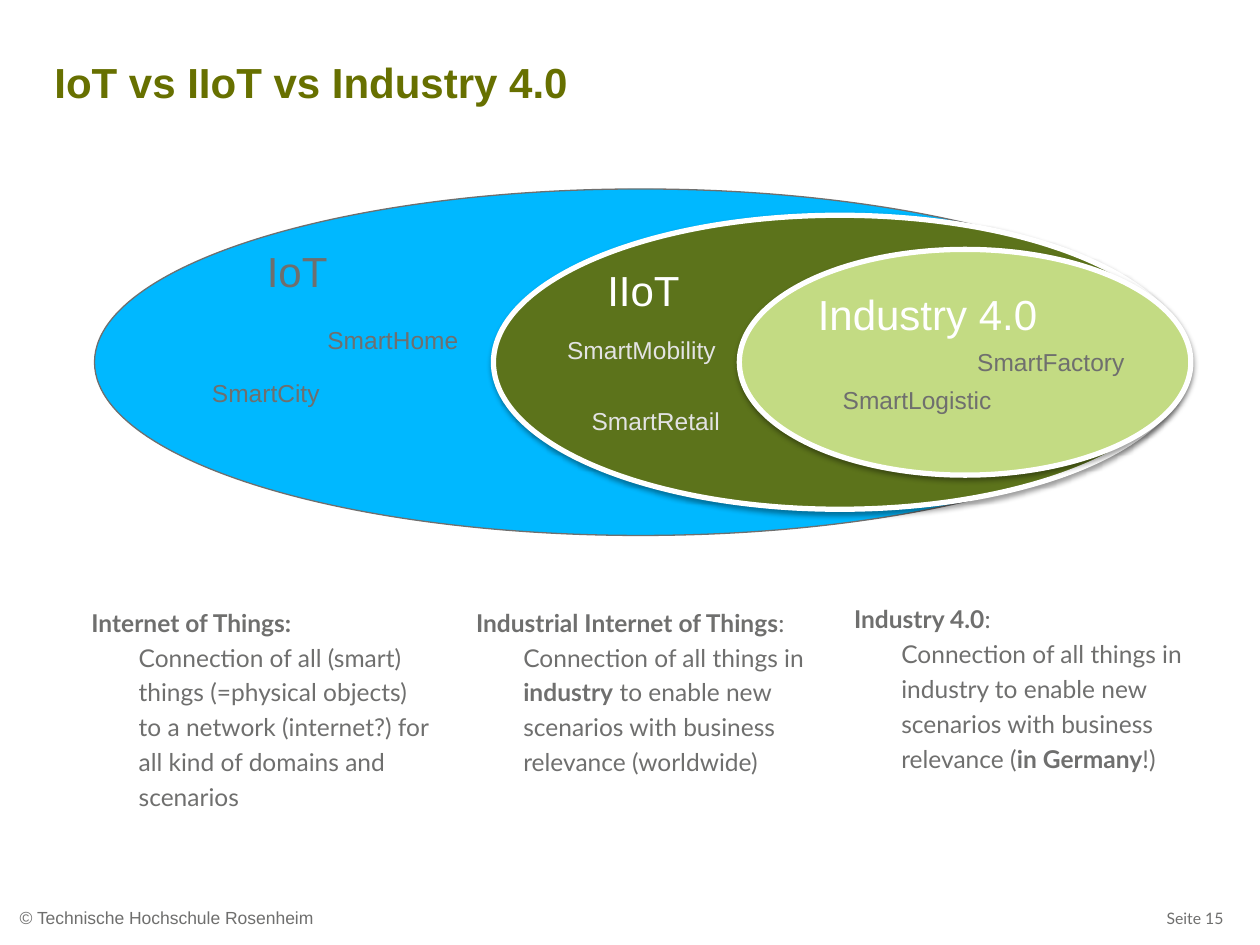
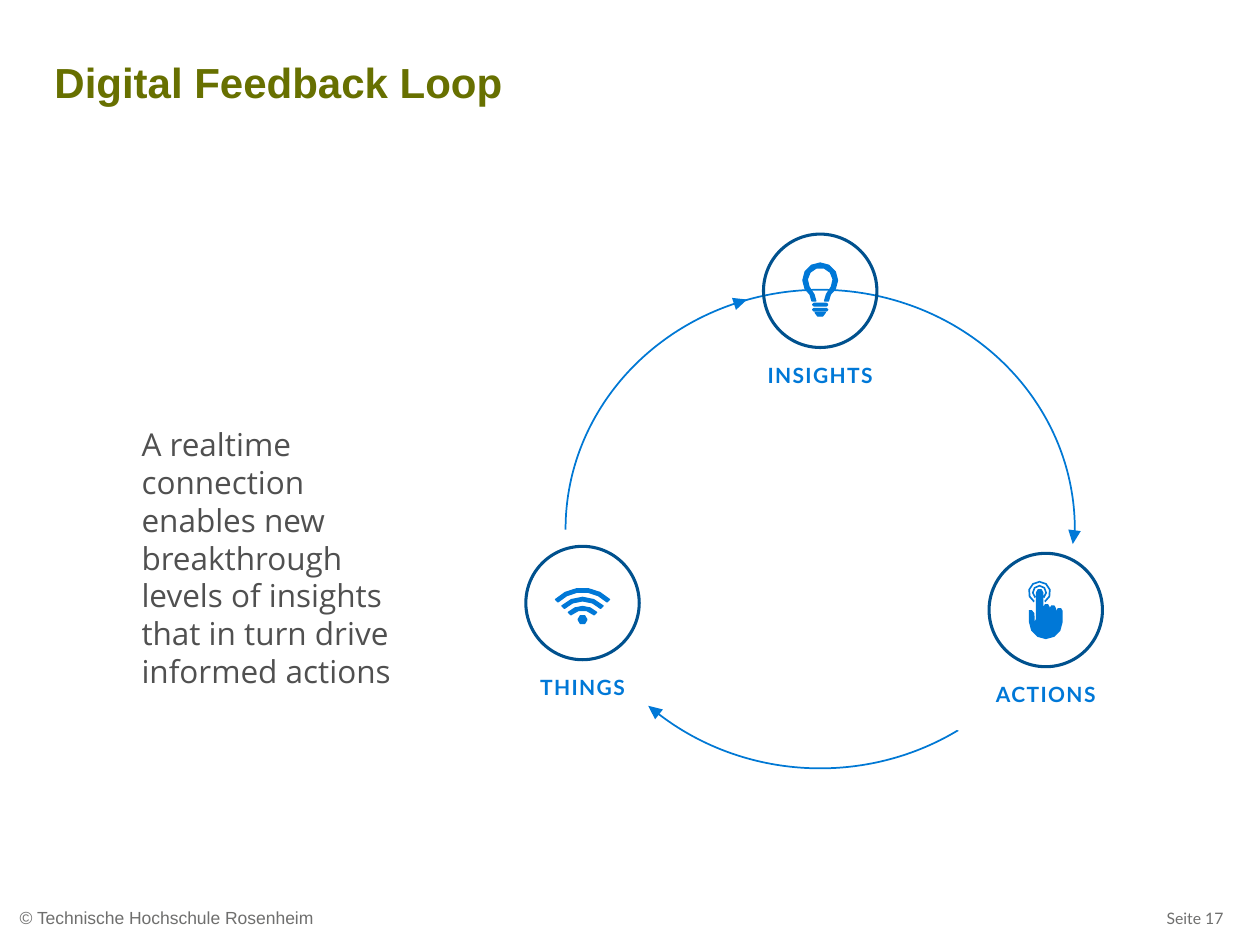
import math
from dataclasses import dataclass

import lxml.etree
import pptx
import pptx.dml.color
import pptx.enum.shapes
import pptx.enum.text
import pptx.oxml.ns
import pptx.shapes.autoshape
import pptx.shapes.group
import pptx.slide
import pptx.text.text
import pptx.util

Pt = pptx.util.Pt
qn = pptx.oxml.ns.qn
Kind = pptx.enum.shapes.MSO_SHAPE
Align = pptx.enum.text.PP_ALIGN
Anchor = pptx.enum.text.MSO_ANCHOR
Slide = pptx.slide.Slide
Group = pptx.shapes.group.GroupShape
Shape = pptx.shapes.autoshape.Shape
Frame = pptx.text.text.TextFrame
Para = pptx.text.text._Paragraph
Box = tuple[float, float, float, float]
Points = list[tuple[float, float]]

GREY = "6F6F6E"
OLIVE = "677000"
WHITE = "FFFFFF"
PALE = "E3E3E3"
BLUE = "0078D7"
NAVY = "00518E"
PAD = (7.2, 3.6, 7.2, 3.6)


@dataclass(frozen=True)
class Style:
    size: float
    font: str = "Arial"
    color: str = GREY
    bold: bool = False


TITLE = Style(24, color=OLIVE, bold=True)
FOOT = Style(10)
PAGE = Style(9, "Lato")
BODY = Style(14, "Lato")
LABEL = Style(12, "Lato", BLUE, True)
QUOTE = Style(18, "Open Sans", "505050")


@dataclass(frozen=True)
class Domain:
    name: str
    box: Box
    fill: str
    ink: str
    edge: str = WHITE
    width: float = 3
    raised: bool = True


@dataclass(frozen=True)
class Sample:
    name: str
    box: Box
    ink: str = GREY


@dataclass(frozen=True)
class Column:
    left: float
    top: float
    width: float
    height: float
    head: list[tuple[str, bool]]
    runs: list[tuple[str, bool]]


@dataclass(frozen=True)
class Node:
    """A ringed icon with a label; mask hides the loop behind it."""
    name: str
    x: float
    y: float
    width: float
    icon: list[Points]
    edge: float
    mask: tuple[float, float] | None = None


@dataclass(frozen=True)
class Arrow:
    left: float
    top: float
    turn: float


def rgb(color: str) -> pptx.dml.color.RGBColor:
    return pptx.dml.color.RGBColor.from_string(color)


def paint(shape: Shape, fill: str | None, line: str | None, width: float = 0) -> None:
    shape.shadow.inherit = False
    if fill:
        shape.fill.solid()
        shape.fill.fore_color.rgb = rgb(fill)
    else:
        shape.fill.background()
    if line and width:
        shape.line.color.rgb = rgb(line)
        shape.line.width = Pt(width)
    else:
        shape.line.fill.background()


def draw(host: Slide | Group, kind: Kind, box: Box, fill: str | None = None,
         line: str | None = None, width: float = 0) -> Shape:
    shape = host.shapes.add_shape(kind, *map(Pt, box))
    paint(shape, fill, line, width)
    return shape


def raise_up(shape: Shape) -> None:
    """Give the shape a soft shadow straight below it."""
    effects = shape._element.spPr.find(qn("a:effectLst"))
    cast = lxml.etree.SubElement(effects, qn("a:outerShdw"), blurRad=str(Pt(3.1)),
                                 dist=str(Pt(1.6)), dir="5400000", rotWithShape="0")
    tint = lxml.etree.SubElement(cast, qn("a:srgbClr"), val="000000")
    lxml.etree.SubElement(tint, qn("a:alpha"), val="38000")


def style_para(para: Para, style: Style) -> None:
    font = para.font
    font.size, font.name, font.bold = Pt(style.size), style.font, style.bold
    font.color.rgb = rgb(style.color)


def text_box(host: Slide | Group, box: Box, style: Style, text: str = "", pad: Box = PAD,
             wrap: bool = True, anchor: Anchor = Anchor.TOP) -> Frame:
    frame = host.shapes.add_textbox(*map(Pt, box)).text_frame
    frame.word_wrap, frame.vertical_anchor = wrap, anchor
    (frame.margin_left, frame.margin_top,
     frame.margin_right, frame.margin_bottom) = map(Pt, pad)
    para = frame.paragraphs[0]
    para.text = text
    style_para(para, style)
    return frame


def start_slide(deck: pptx.presentation.Presentation, title: str, page: int) -> Slide:
    slide = deck.slides.add_slide(deck.slide_layouts[6])
    text_box(slide, (2.6, 509.4, 581, 29.5), FOOT, "© Technische Hochschule Rosenheim",
             (8.64,) * 4, anchor=Anchor.MIDDLE)
    text_box(slide, (659.5, 515.5, 51, 18), PAGE, f"Seite {page}", wrap=False)
    text_box(slide, (24, 28.8, 480, 67), TITLE, title)
    return slide


def arc(x: float, y: float, r: float, start: float, end: float) -> Points:
    """Points along a circle, more on a larger one; angles run clockwise from the right."""
    steps = math.ceil(abs(end - start) * math.sqrt(r) / 100)
    turns = [math.radians(start + (end - start) * i / steps) for i in range(steps + 1)]
    return [(x + r * math.cos(t), y + r * math.sin(t)) for t in turns]


def band(x: float, y: float, outer: float, inner: float, start: float, end: float) -> Points:
    return arc(x, y, outer, start, end) + arc(x, y, inner, end, start)


def bar(y: float) -> Points:
    """A round-ended bar across the foot of the bulb."""
    return arc(-3.6, y, 0.7, 90, 270) + arc(3.6, y, 0.7, -90, 90)


def trace(host: Slide | Group, x: float, y: float, paths: list[Points], edge: float) -> None:
    """Draw closed paths, given from the point x, y, as one shape."""
    spots = [[(Pt(x + px), Pt(y + py)) for px, py in path] for path in paths]
    pen = host.shapes.build_freeform(*spots[0][0])
    pen.add_line_segments(spots[0][1:])
    for path in spots[1:]:
        pen.move_to(*path[0])
        pen.add_line_segments(path[1:])
    paint(pen.convert_to_shape(), BLUE, BLUE, edge)


BULB = [
    arc(0, -6, 9.9, 150, 390) + [(5.8, 2), (4.7, 5.8), (2.5, 5.8), (3.6, 2)]
    + arc(0, -6, 7.4, 390, 150) + [(-3.6, 2), (-2.5, 5.8), (-4.7, 5.8), (-5.8, 2)],
    bar(7.9), bar(10.8), [(-2.9, 12.4), (2.9, 12.4), (1.4, 14.4), (-1.4, 14.4)],
]
WIFI = [arc(0, 9.5, 2.5, 0, 360)]
WIFI += [band(0, 13.4, r, r - 2, 225, 315) for r in (11.4, 16.6, 21.8)]
HAND = [
    band(-3.6, -10.1, 6.6, 5.6, 120, 420),
    band(-3.6, -10.1, 4.3, 3.3, 130, 410),
    arc(-3.5, -10.1, 2.1, 180, 360) + arc(0.4, -1.8, 1.8, 180, 360)
    + arc(4, -1.1, 1.8, 180, 360) + arc(7.8, 0.4, 1.8, 180, 360)
    + arc(0, 7, 9.6, 0, 180)
    + [(-9.6, 0), (-8, 0), (-6.5, 1.8), (-6.3, 6.5), (-5.6, 5)],
]

DOMAINS = [
    Domain("IoT", (54, 108, 624, 198), "00B8FF", GREY, GREY, 0.75, False),
    Domain("IIoT", (282, 123, 396, 168), "5C731B", WHITE),
    Domain("Industry 4.0", (422.5, 142.5, 258, 129), "C3DB83", WHITE),
]
SAMPLES = [
    Sample("SmartHome", (180, 182, 90, 24.5)),
    Sample("SmartCity", (114, 212.5, 76, 24.5)),
    Sample("SmartFactory", (551.3, 195, 99, 24.5)),
    Sample("SmartLogistic", (474.5, 216.5, 100, 24.5)),
    Sample("SmartMobility", (317, 188, 100, 24.5), PALE),
    Sample("SmartRetail", (331, 228.5, 88.5, 24.5), PALE),
]
COLUMNS = [
    Column(52.2, 344.2, 193.7, 153, [("Internet of Things:", True)], [
        ("\t", False),
        ("Connection of all (smart) things (=physical objects) to a network "
         "(internet?) for all kind of domains and scenarios", False)]),
    Column(272, 344.2, 192, 144,
           [("Industrial Internet of Things", True), (":", False)], [
        ("\tConnection of all things in ", False), ("industry", True),
        (" to enable new scenarios with business relevance (worldwide)", False)]),
    Column(488, 342.2, 192, 144, [("Industry 4.0", True), (":", False)], [
        ("\tConnection of all things in industry to enable new scenarios "
         "with business relevance (", False), ("in Germany", True), ("!)", False)]),
]
NODES = [
    Node("INSIGHTS", 468.7, 166.2, 76.3, BULB, 0.75),
    Node("ACTIONS", 597.6, 348.6, 72.7, HAND, 0, (509.8, 297.4)),
    Node("THINGS", 332.9, 344.6, 64, WIFI, 0.75, (243.4, 302.4)),
]
ARROWS = [Arrow(419.6, 168.5, 71.7), Arrow(369.9, 401.8, 308.4), Arrow(609.9, 303, 187.2)]


def draw_domain(slide: Slide, item: Domain) -> None:
    shape = draw(slide, Kind.OVAL, item.box, item.fill, item.edge, item.width)
    if item.raised:
        raise_up(shape)
    frame = shape.text_frame
    frame.vertical_anchor = Anchor.TOP
    para = frame.paragraphs[0]
    para.text, para.alignment = item.name, Align.LEFT
    style_para(para, Style(24, color=item.ink))


def draw_column(slide: Slide, item: Column) -> None:
    box = (item.left, item.top, item.width, item.height)
    frame = text_box(slide, box, BODY, pad=(0,) * 4)
    for para, runs in ((frame.paragraphs[0], item.head), (frame.add_paragraph(), item.runs)):
        style_para(para, BODY)
        para.line_spacing = Pt(19.9)
        props = para._p.get_or_add_pPr()
        props.set("marL", str(Pt(27)))
        props.set("indent", str(Pt(-27)))
        for text, bold in runs:
            run = para.add_run()
            run.text, run.font.bold = text, bold


def draw_node(slide: Slide, node: Node) -> None:
    if node.mask:
        draw(slide, Kind.OVAL, (*node.mask, 146, 128), WHITE)
    group = slide.shapes.add_group_shape()
    box = (node.x - node.width / 2, node.y + 37.4, node.width, 21.6)
    frame = text_box(group, box, LABEL, node.name, wrap=False, anchor=Anchor.MIDDLE)
    para = frame.paragraphs[0]
    para.alignment, para.space_before = Align.CENTER, Pt(1.5)
    para._p.pPr.find(qn("a:defRPr")).set("spc", "80")
    draw(group, Kind.OVAL, (node.x - 32.4, node.y - 32.4, 64.8, 64.8), None, NAVY, 1.75)
    trace(group, node.x, node.y, node.icon, node.edge)


def build_domains(deck: pptx.presentation.Presentation) -> None:
    slide = start_slide(deck, "IoT vs IIoT vs Industry 4.0", 15)
    for item in DOMAINS:
        draw_domain(slide, item)
    for item in SAMPLES:
        text_box(slide, item.box, Style(14, color=item.ink), item.name, wrap=False)
    for item in COLUMNS:
        draw_column(slide, item)


def build_loop(deck: pptx.presentation.Presentation) -> None:
    slide = start_slide(deck, "Digital Feedback Loop", 17)
    draw(slide, Kind.OVAL, (323.2, 165.6, 291, 273.5), None, "0078D4", 1)
    for node in NODES:
        draw_node(slide, node)
    for item in ARROWS:
        head = draw(slide, Kind.ISOSCELES_TRIANGLE, (item.left, item.top, 7.2, 7.9), BLUE)
        head.rotation = item.turn
    frame = text_box(slide, (80.9, 239.5, 158.4, 186), QUOTE,
                     "A realtime connection enables new breakthrough levels of insights "
                     "that in turn drive informed actions", (0, 3.6, 7.2, 3.6))
    frame.paragraphs[0].space_after = Pt(4.5)


def main() -> None:
    deck = pptx.Presentation()
    deck.slide_width, deck.slide_height = Pt(720), Pt(540)
    build_domains(deck)
    build_loop(deck)
    deck.save("out.pptx")


if __name__ == "__main__":
    main()
